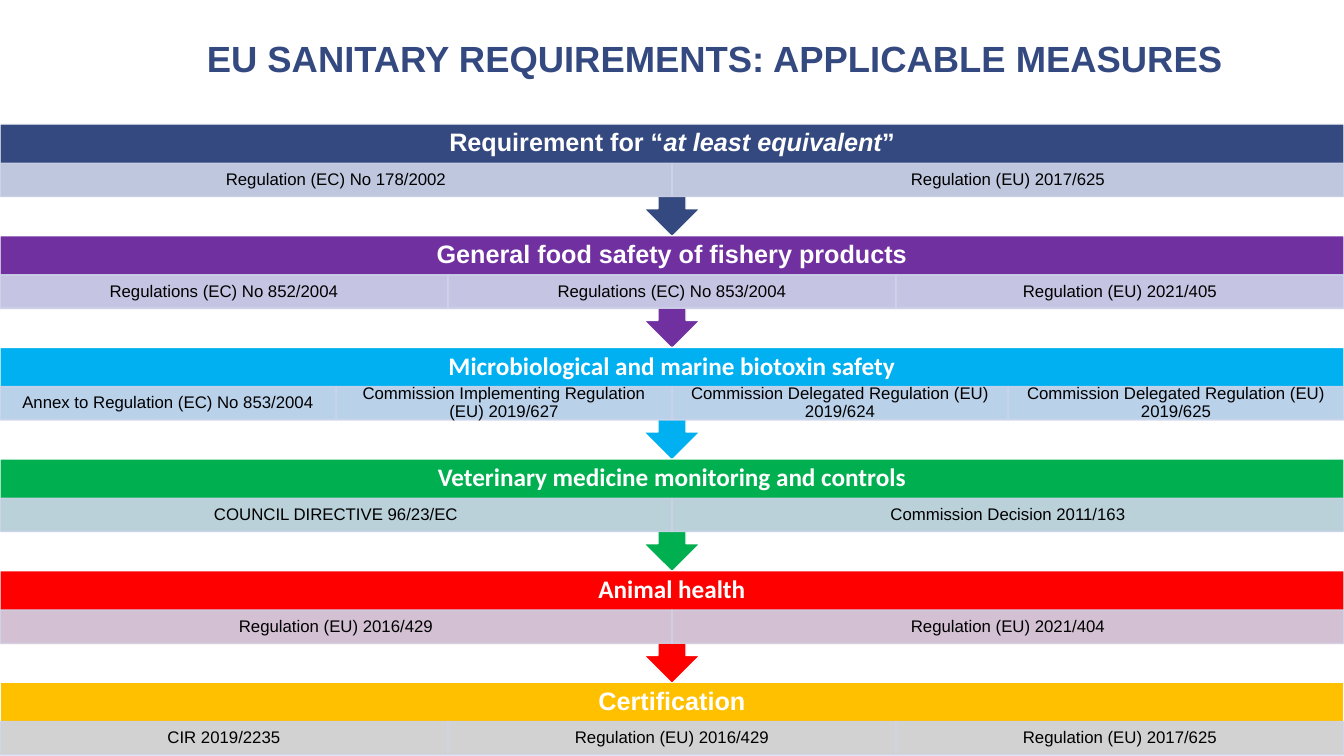
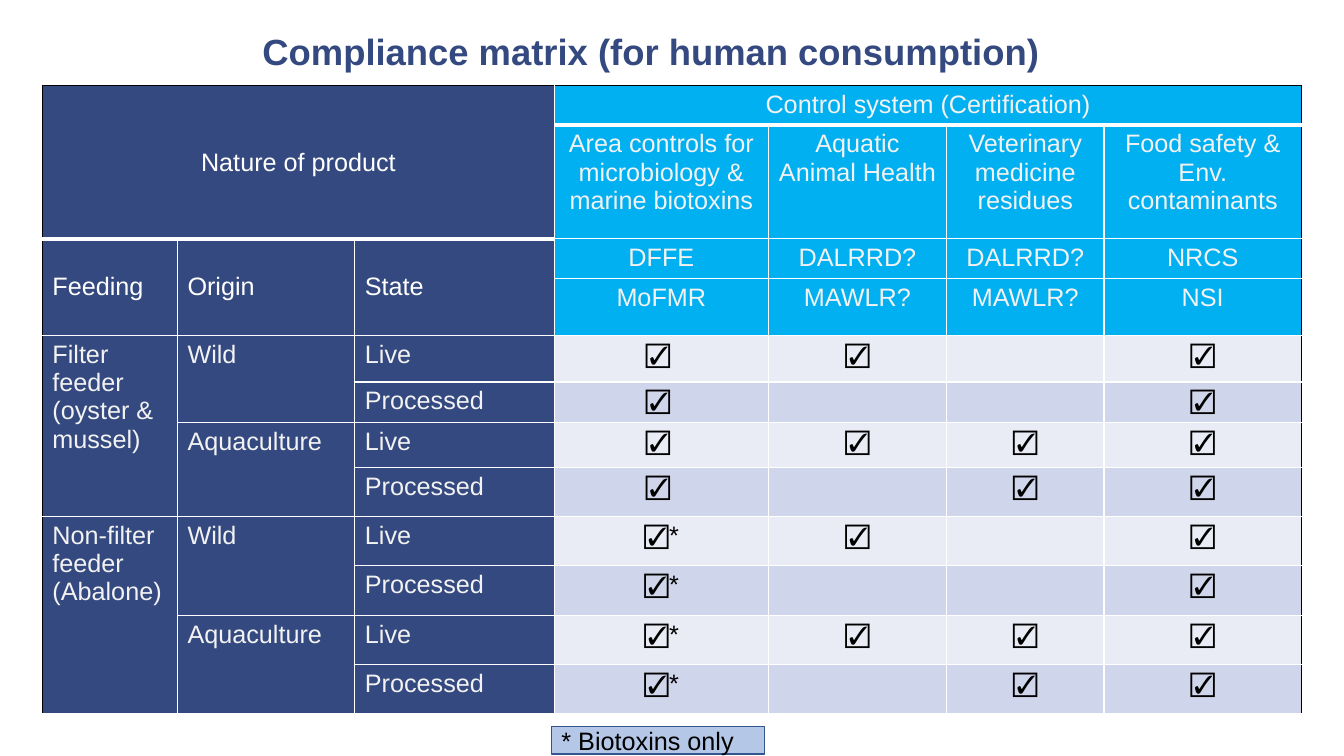
from itertools import product

from lxml.etree import SubElement
from pptx import Presentation
from pptx.dml.color import RGBColor
from pptx.enum.shapes import MSO_SHAPE
from pptx.enum.text import MSO_ANCHOR, MSO_AUTO_SIZE, PP_ALIGN
from pptx.oxml.ns import qn
from pptx.util import Inches, Pt

SLIDE_WIDTH, SLIDE_HEIGHT = 13.33, 7.5
NAVY, CYAN, WHITE, BLACK = "34497F", "00B0F0", "FFFFFF", "000000"
OFF_WHITE, LIGHT_BAND, DARK_BAND = "F2F2F2", "E9EBF5", "CFD5EA"

BAND_TOP, LAST_BAND_TOP, HEADING_HEIGHT = 1.23, 6.77, 0.39
BOX_HEIGHT, CALLOUT_HEIGHT, STRIP_HEIGHT = 0.73, 1.12, 0.33

MEASURES = [
    (["Requirement for “", "at least equivalent", "”"], NAVY, "Arial",
     ["Regulation (EC) No 178/2002", "Regulation (EU) 2017/625"]),
    (["General food safety of fishery products"], "7030A0", "Arial",
     ["Regulations (EC) No 852/2004", "Regulations (EC) No 853/2004",
      "Regulation (EU) 2021/405"]),
    (["Microbiological and marine biotoxin safety"], CYAN, "Calibri",
     ["Annex to Regulation (EC) No 853/2004",
      "Commission Implementing Regulation (EU) 2019/627",
      "Commission Delegated Regulation (EU) 2019/624",
      "Commission Delegated Regulation (EU) 2019/625"]),
    (["Veterinary medicine monitoring and controls"], "00B050", "Calibri",
     ["COUNCIL DIRECTIVE 96/23/EC", "Commission Decision 2011/163"]),
    (["Animal health"], "FF0000", "Calibri",
     ["Regulation (EU) 2016/429", "Regulation (EU) 2021/404"]),
    (["Certification"], "FFC000", "Arial",
     ["CIR 2019/2235", "Regulation (EU) 2016/429", "Regulation (EU) 2017/625"]),
]

COLUMN_WIDTHS = [1.34, 1.76, 1.98, 2.12, 1.77, 1.56, 1.96]
ROW_HEIGHTS = [0.39, 1.13, 0.39, 0.57, 0.46, 0.39, 0.44] + [0.49] * 5
LABEL_COLUMNS, HEADER_ROWS = 3, 4
HEADER = [
    ["Nature of product", "", "", "Control system (Certification)", "", "", ""],
    ["", "", "", "Area controls for microbiology & marine biotoxins",
     "Aquatic Animal Health", "Veterinary medicine residues",
     "Food safety & Env. contaminants"],
    ["Feeding", "Origin", "State", "DFFE", "DALRRD?", "DALRRD?", "NRCS"],
    ["", "", "", "MoFMR", "MAWLR?", "MAWLR?", "NSI"],
]
MERGES = [
    (0, 0, 1, 2), (0, 3, 0, 6),
    *[(2, column, 3, column) for column in range(LABEL_COLUMNS)],
    (4, 0, 7, 0), (8, 0, 11, 0),
    *[(row, 1, row + 1, 1) for row in range(4, 12, 2)],
]


def rgb(color):
    """Turn a hex string into a colour."""
    return RGBColor.from_string(color)


def style_paragraph(paragraph, size, color, font="Arial", bold=False,
                    align=PP_ALIGN.CENTER, spacing=None):
    """Set the alignment of a paragraph and the font of its runs."""
    paragraph.alignment = align
    paragraph.line_spacing = spacing
    for run in paragraph.runs:
        run.font.name = font
        run.font.size = Pt(size)
        run.font.bold = bold
        run.font.color.rgb = rgb(color)


def set_frame(text_frame, left=0.1, top=0.0, right=0.1, bottom=0.0):
    """Wrap the text of a frame, centre it vertically and set its margins."""
    text_frame.word_wrap = True
    text_frame.auto_size = MSO_AUTO_SIZE.NONE
    text_frame.vertical_anchor = MSO_ANCHOR.MIDDLE
    text_frame.margin_left, text_frame.margin_top = Inches(left), Inches(top)
    text_frame.margin_right, text_frame.margin_bottom = Inches(right), Inches(bottom)


def add_titled_slide(presentation, title, left, top, width, height):
    """Add a slide with its title styled and placed."""
    slide = presentation.slides.add_slide(presentation.slide_layouts[5])
    shape = slide.shapes.title
    shape.left, shape.top = Inches(left), Inches(top)
    shape.width, shape.height = Inches(width), Inches(height)
    shape.text_frame.text = title
    set_frame(shape.text_frame)
    style_paragraph(shape.text_frame.paragraphs[0], 26, NAVY, bold=True, spacing=0.9)
    return slide


def add_box(slide, kind, left, top, width, height, fill, line):
    """Add a preset shape with a plain fill and outline."""
    shape = slide.shapes.add_shape(
        kind, Inches(left), Inches(top), Inches(width), Inches(height))
    shape.shadow.inherit = False
    shape.fill.solid()
    shape.fill.fore_color.rgb = rgb(fill)
    shape.line.color.rgb = rgb(line)
    shape.line.width = Pt(1)
    return shape


def add_heading(slide, parts, color, font, top, is_last):
    """Add a heading band, with an arrow down unless it is the last one."""
    kind = MSO_SHAPE.RECTANGLE if is_last else MSO_SHAPE.DOWN_ARROW_CALLOUT
    height = BOX_HEIGHT if is_last else CALLOUT_HEIGHT
    shape = add_box(slide, kind, 0, top, SLIDE_WIDTH, height, color, WHITE)
    set_frame(shape.text_frame, bottom=BOX_HEIGHT - HEADING_HEIGHT)
    paragraph = shape.text_frame.paragraphs[0]
    for index, part in enumerate(parts):
        run = paragraph.add_run()
        run.text = part
        run.font.italic = index % 2 == 1
    style_paragraph(paragraph, 18, WHITE, font, bold=True, spacing=0.9)


def add_strip(slide, regulations, top):
    """Add a row of equal translucent boxes, one for each regulation."""
    width = SLIDE_WIDTH / len(regulations)
    for index, regulation in enumerate(regulations):
        shape = add_box(slide, MSO_SHAPE.RECTANGLE, index * width, top, width,
                        STRIP_HEIGHT, DARK_BAND, DARK_BAND)
        for color in shape.element.spPr.iter(qn("a:srgbClr")):
            SubElement(color, qn("a:alpha"), val="90000")
        shape.text_frame.text = regulation
        set_frame(shape.text_frame, 0.09, 0.02, 0.09, 0.02)
        style_paragraph(shape.text_frame.paragraphs[0], 12, BLACK, spacing=0.9)


def matrix_rows():
    """Return the texts of all rows of the compliance matrix."""
    rows = list(HEADER)
    groups = [("Filter feeder (oyster & mussel)", "☑ "),
              ("Non-filter feeder (Abalone)", "☑*")]
    for (feeding, area_mark), origin, state in product(
            groups, ["Wild", "Aquaculture"], ["Live", "Processed"]):
        is_live, is_farmed = state == "Live", origin == "Aquaculture"
        rows.append([
            feeding if is_live and not is_farmed else "",
            origin if is_live else "",
            state, area_mark, "☑" if is_live else "", "☑" if is_farmed else "", "☑"])
    return rows


def set_borders(cell, row, column):
    """Draw the four borders of a cell: black outside, thick under headers."""
    last_row, last_column = row, column
    if cell.is_merge_origin:
        last_row += cell.span_height - 1
        last_column += cell.span_width - 1
    thick_row = 1 if column < LABEL_COLUMNS else 0
    borders = [
        ("a:lnL", BLACK if column == 0 else WHITE, 1),
        ("a:lnR", BLACK if last_column == len(COLUMN_WIDTHS) - 1 else WHITE, 1),
        ("a:lnT", BLACK if row == 0 else WHITE, 3 if row == thick_row + 1 else 1),
        ("a:lnB", WHITE, 3 if last_row == thick_row else 1),
    ]
    properties = cell._tc.get_or_add_tcPr()
    for tag, color, points in borders:
        line = SubElement(properties, qn(tag), w=str(Pt(points)))
        SubElement(SubElement(line, qn("a:solidFill")), qn("a:srgbClr"), val=color)


def cell_style(row, column):
    """Return the fill, text colour and alignment for a place in the matrix."""
    if column < LABEL_COLUMNS:
        color = WHITE if row < HEADER_ROWS else OFF_WHITE
        return NAVY, color, PP_ALIGN.CENTER if row == 0 else PP_ALIGN.LEFT
    if row < HEADER_ROWS:
        return CYAN, OFF_WHITE, PP_ALIGN.CENTER
    return DARK_BAND if row % 2 else LIGHT_BAND, BLACK, PP_ALIGN.CENTER


def add_matrix(slide, left, top):
    """Add the compliance matrix as a table."""
    rows = matrix_rows()
    table = slide.shapes.add_table(
        len(rows), len(COLUMN_WIDTHS), Inches(left), Inches(top),
        Inches(sum(COLUMN_WIDTHS)), Inches(sum(ROW_HEIGHTS))).table
    table.first_row = table.horz_banding = False
    for column, width in zip(table.columns, COLUMN_WIDTHS):
        column.width = Inches(width)
    for row, height in zip(table.rows, ROW_HEIGHTS):
        row.height = Inches(height)
    for first_row, first_column, last_row, last_column in MERGES:
        table.cell(first_row, first_column).merge(table.cell(last_row, last_column))
    for row, column in product(range(len(rows)), range(len(COLUMN_WIDTHS))):
        cell = table.cell(row, column)
        fill, color, align = cell_style(row, column)
        set_borders(cell, row, column)
        cell.fill.solid()
        cell.fill.fore_color.rgb = rgb(fill)
        if row < HEADER_ROWS and column < LABEL_COLUMNS:
            cell.vertical_anchor = MSO_ANCHOR.MIDDLE
        cell.text_frame.text = rows[row][column]
        style_paragraph(cell.text_frame.paragraphs[0], 18, color, align=align)


def add_measures_slide(presentation):
    """Add the slide with the chain of applicable measures."""
    slide = add_titled_slide(
        presentation, "EU SANITARY REQUIREMENTS: APPLICABLE MEASURES",
        1.86, 0.29, 10.47, 0.62)
    last = len(MEASURES) - 1
    pitch = (LAST_BAND_TOP - BAND_TOP) / last
    for index, (parts, color, font, regulations) in enumerate(MEASURES):
        top = BAND_TOP + index * pitch
        add_heading(slide, parts, color, font, top, index == last)
        add_strip(slide, regulations, top + HEADING_HEIGHT)


def add_matrix_slide(presentation):
    """Add the slide with the compliance matrix and its footnote."""
    slide = add_titled_slide(
        presentation, "Compliance matrix (for human consumption)",
        0.9, 0.16, 11.12, 0.75)
    add_matrix(slide, 0.42, 0.85)
    note = add_box(slide, MSO_SHAPE.RECTANGLE, 5.47, 7.21, 2.11, 0.27, "B4C7E7", "325491")
    note.text_frame.text = "* Biotoxins only"
    set_frame(note.text_frame)
    style_paragraph(note.text_frame.paragraphs[0], 18, BLACK, align=PP_ALIGN.LEFT)


def main():
    """Build and save the presentation."""
    presentation = Presentation()
    presentation.slide_width = Inches(SLIDE_WIDTH)
    presentation.slide_height = Inches(SLIDE_HEIGHT)
    add_measures_slide(presentation)
    add_matrix_slide(presentation)
    presentation.save("out.pptx")


if __name__ == "__main__":
    main()
